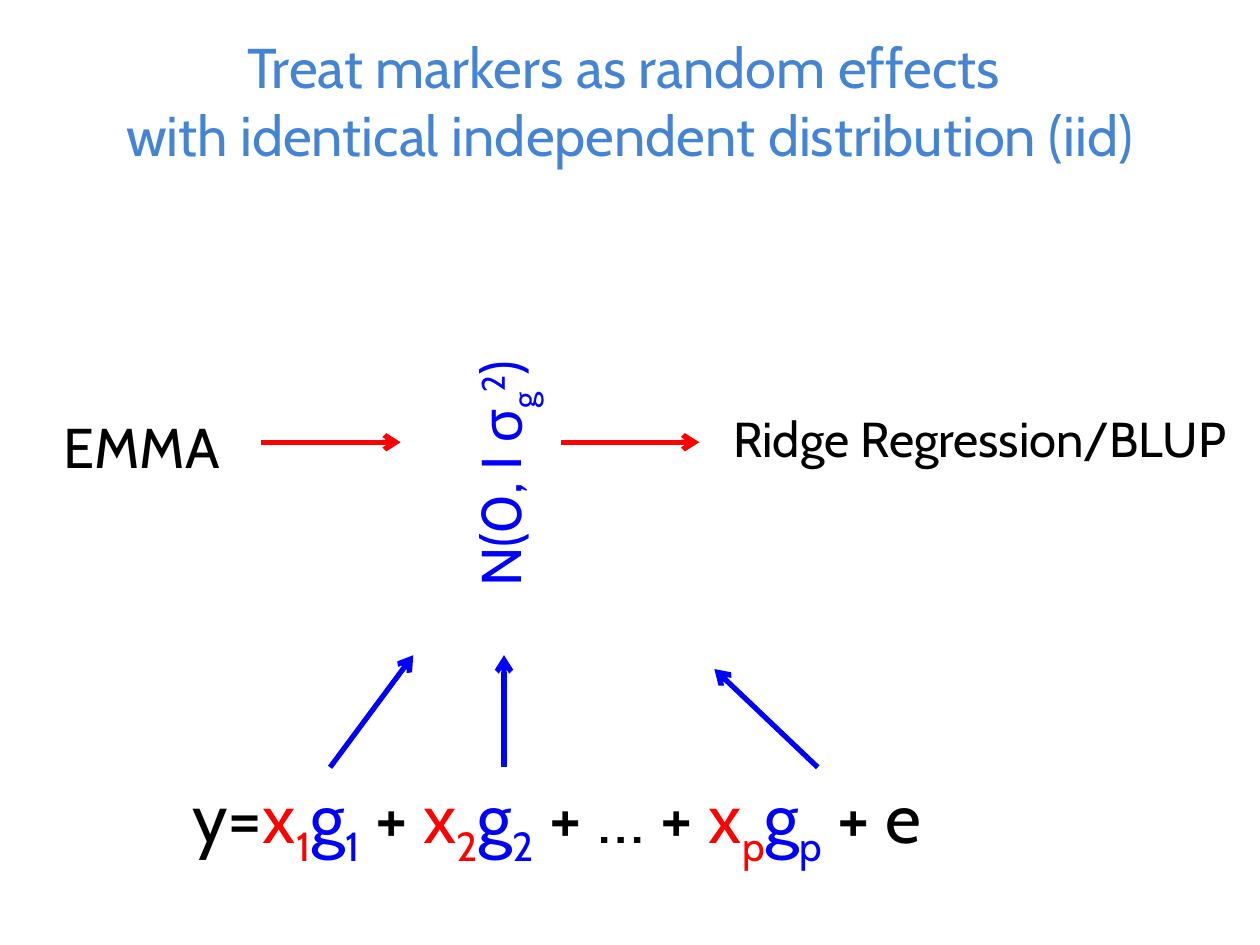
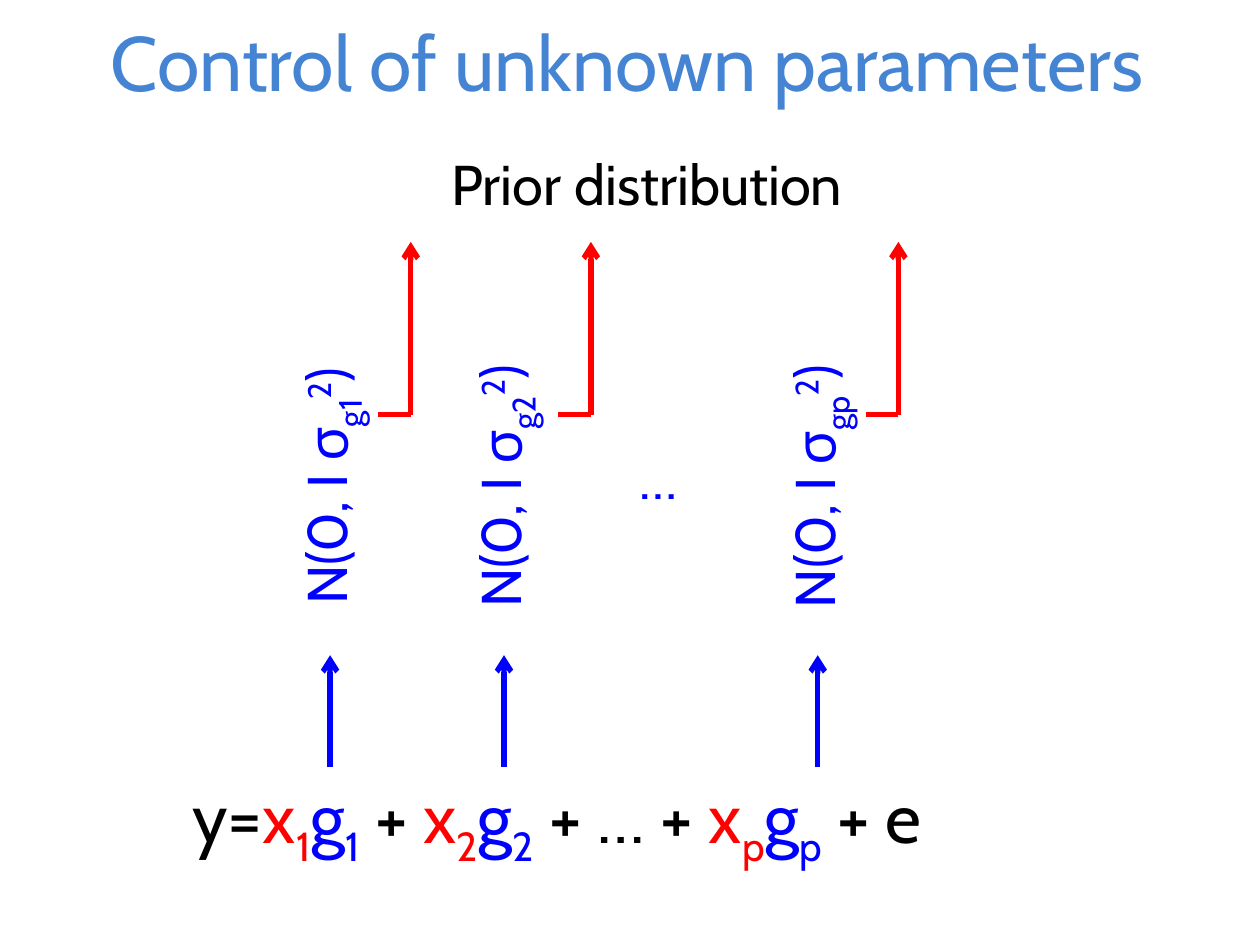
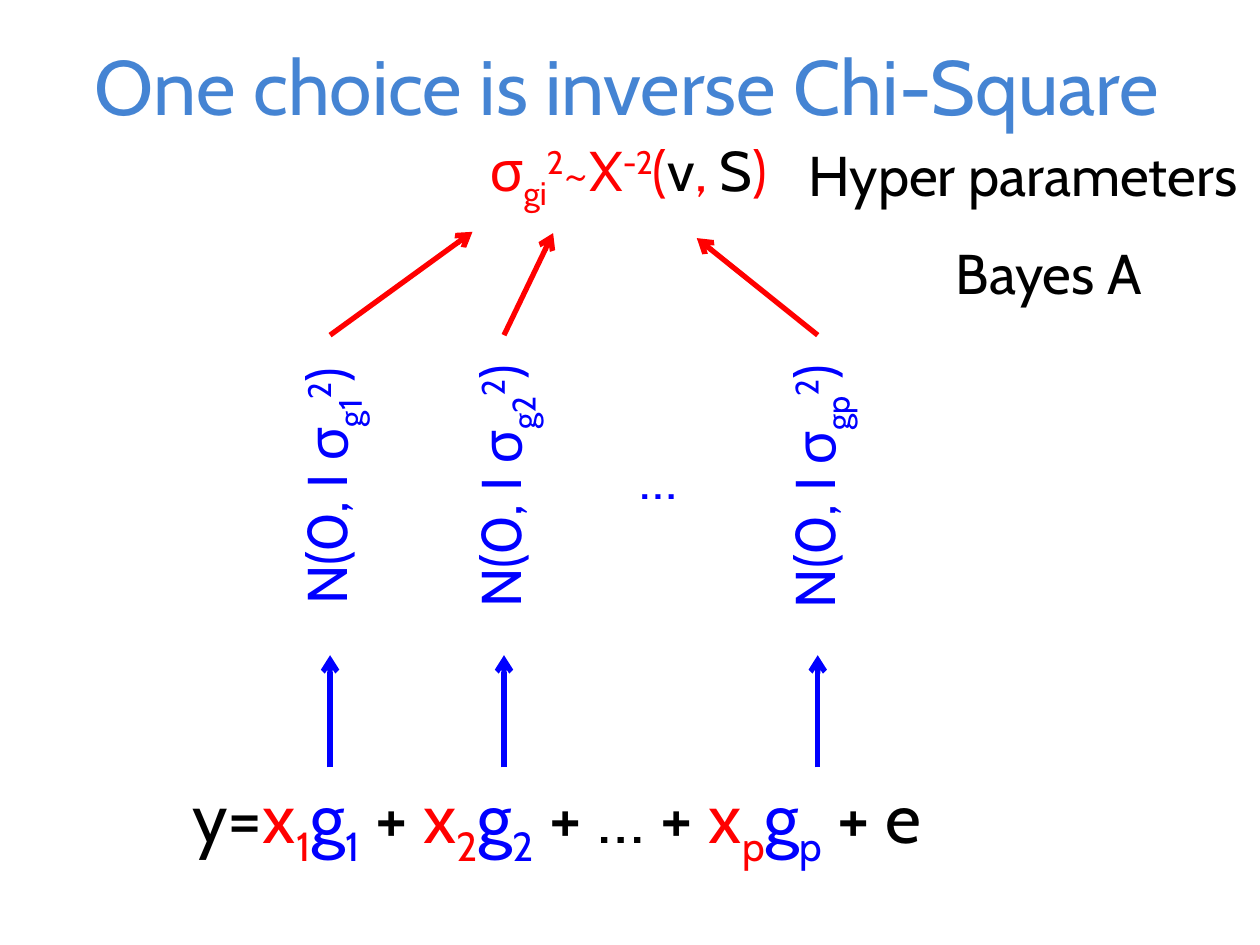
from dataclasses import dataclass

import lxml.etree
import pptx
import pptx.dml.color
import pptx.enum.shapes
import pptx.enum.text
import pptx.oxml.ns
import pptx.util


@dataclass(frozen=True)
class Theme:
    font: str = "Cabin"
    title: str = "4584D3"
    text: str = "000000"
    marker: str = "FF0000"
    effect: str = "0000FF"
    equation_size: int = 40
    large_title: int = 44
    body_size: int = 32
    small_size: int = 28
    line_width: int = 3


THEME = Theme()
WIDTH, HEIGHT = 10, 7.5
SUBSCRIPT, SUPERSCRIPT = -25, 30
BOX_HEIGHT = 0.5
NORMAL_LENGTH = 2.38
EQUATION_TOP, EFFECT_ARROW_TOP = 6.09, 5.2
COLUMNS = {"1": 2.62, "2": 4, "p": 6.49}

TITLES = [
    ("Treat markers as random effects \nwith identical independent distribution (iid)",
     (0, -0.03, WIDTH, 1.65), THEME.body_size),
    ("Control of unknown parameters", (0.48, -0.01, 9, 0.99), THEME.large_title),
    ("One choice is inverse Chi-Square", (0.48, -0.01, 9, 1.37), THEME.large_title),
]
LABELS = [
    [("EMMA", (0, 3.22, 2.25, 0.64), THEME.body_size),
     ("Ridge Regression/BLUP", (5.55, 3.19, 4.45, 0.57), THEME.small_size)],
    [("Prior distribution", (0.69, 1.13, 8.89, 0.64), THEME.body_size)],
    [("Hyper parameters", (6.24, 1.13, 3.76, BOX_HEIGHT), THEME.body_size),
     ("Bayes A", (6.74, 1.91, 3.17, BOX_HEIGHT), THEME.body_size)],
]
SHARED_PRIOR_TIPS = [(3.28, 5.2), (4, 5.2), (5.67, 5.31)]
METHOD_ARROWS = [(2.07, 3.18), (4.45, 5.55)]
METHOD_ARROW_Y = 3.51
PRIOR_ELBOWS = [3.26, 4.69, 7.13]
ELBOW_FOOT, ELBOW_BOTTOM, ELBOW_TOP = 0.26, 3.29, 1.92
CHI_SQUARE_TIPS = [(3.75, 1.84), (4.39, 1.85), (5.53, 1.89)]
CHI_SQUARE_ARROW_START = 2.66
CHI_SQUARE = [
    ("σ", THEME.marker, 0), ("gi", THEME.marker, SUBSCRIPT),
    ("2", THEME.marker, SUPERSCRIPT), ("~X", THEME.marker, 0),
    ("-2", THEME.marker, SUPERSCRIPT), ("(", THEME.marker, 0),
    ("v", THEME.text, 0), (", ", THEME.marker, 0),
    ("S", THEME.text, 0), (")", THEME.marker, 0),
]


def equation_runs():
    followers = {"1": " + ", "2": " + … + ", "p": " + e"}
    runs = [("y=", THEME.text, 0)]
    for index, follower in followers.items():
        runs += [("x", THEME.marker, 0), (index, THEME.marker, SUBSCRIPT),
                 ("g", THEME.effect, 0), (index, THEME.effect, SUBSCRIPT),
                 (follower, THEME.text, 0)]
    return runs


def add_text(slide, runs, box, size=THEME.body_size, centred=True, middle=True):
    shape = slide.shapes.add_textbox(*map(pptx.util.Inches, box))
    frame = shape.text_frame
    frame.word_wrap = True
    anchors = pptx.enum.text.MSO_ANCHOR
    frame.vertical_anchor = anchors.MIDDLE if middle else anchors.TOP
    paragraph = frame.paragraphs[0]
    alignments = pptx.enum.text.PP_ALIGN
    paragraph.alignment = alignments.CENTER if centred else alignments.LEFT
    paragraph.font.name = THEME.font
    paragraph.font.size = pptx.util.Pt(size)
    for text, colour, baseline in runs:
        for number, line in enumerate(text.split("\n")):
            if number:
                paragraph.add_line_break()
            run = paragraph.add_run()
            run.text = line
            run.font.color.rgb = pptx.dml.color.RGBColor.from_string(colour)
            if baseline:
                run.font._element.set("baseline", str(baseline * 1000))
    return shape


def add_line(slide, start, end, colour, arrow=True):
    connector = slide.shapes.add_connector(
        pptx.enum.shapes.MSO_CONNECTOR.STRAIGHT,
        *map(pptx.util.Inches, (*start, *end)))
    connector.line.color.rgb = pptx.dml.color.RGBColor.from_string(colour)
    connector.line.width = pptx.util.Pt(THEME.line_width)
    qualified = pptx.oxml.ns.qn
    if arrow:
        outline = connector.line._get_or_add_ln()
        lxml.etree.SubElement(outline, qualified("a:tailEnd"), type="arrow")
    lxml.etree.SubElement(connector._element.spPr, qualified("a:effectLst"))


def add_normal(slide, index, column, centre_y):
    runs = [("N(0, I σ", THEME.effect, 0), ("g" + index, THEME.effect, SUBSCRIPT),
            ("2", THEME.effect, SUPERSCRIPT), (")", THEME.effect, 0)]
    box = (column - NORMAL_LENGTH / 2, centre_y - BOX_HEIGHT / 2,
           NORMAL_LENGTH, BOX_HEIGHT)
    add_text(slide, runs, box).rotation = 270


def add_model(slide, effect_tips):
    add_text(slide, equation_runs(), (1.43, EQUATION_TOP, 7.4, 0.77),
             THEME.equation_size, centred=False, middle=False)
    for column, tip in zip(COLUMNS.values(), effect_tips):
        add_line(slide, (column, EQUATION_TOP), tip, THEME.effect)


def add_separate_normals(slide):
    add_model(slide, [(column, EFFECT_ARROW_TOP) for column in COLUMNS.values()])
    for index, column in COLUMNS.items():
        add_normal(slide, index, column, 3.86)
    add_text(slide, [("…", THEME.effect, 0)], (4.7, 3.54, 1.06, BOX_HEIGHT))


def draw_random_effects(slide):
    add_model(slide, SHARED_PRIOR_TIPS)
    add_normal(slide, "", COLUMNS["2"], 3.76)
    for left, right in METHOD_ARROWS:
        add_line(slide, (left, METHOD_ARROW_Y), (right, METHOD_ARROW_Y), THEME.marker)


def draw_prior(slide):
    add_separate_normals(slide)
    for x in PRIOR_ELBOWS:
        corner = (x, ELBOW_BOTTOM)
        add_line(slide, corner, (x, ELBOW_TOP), THEME.marker)
        add_line(slide, corner, (x - ELBOW_FOOT, ELBOW_BOTTOM), THEME.marker, arrow=False)


def draw_chi_square(slide):
    add_separate_normals(slide)
    add_text(slide, CHI_SQUARE, (1.26, 1.13, 7.45, BOX_HEIGHT))
    for column, tip in zip(COLUMNS.values(), CHI_SQUARE_TIPS):
        add_line(slide, (column, CHI_SQUARE_ARROW_START), tip, THEME.marker)


def main():
    presentation = pptx.Presentation()
    presentation.slide_width = pptx.util.Inches(WIDTH)
    presentation.slide_height = pptx.util.Inches(HEIGHT)
    diagrams = [draw_random_effects, draw_prior, draw_chi_square]
    for (title, title_box, title_size), labels, draw in zip(TITLES, LABELS, diagrams):
        slide = presentation.slides.add_slide(presentation.slide_layouts[6])
        add_text(slide, [(title, THEME.title, 0)], title_box, title_size)
        draw(slide)
        for text, box, size in labels:
            add_text(slide, [(text, THEME.text, 0)], box, size)
    presentation.save("out.pptx")


if __name__ == "__main__":
    main()
